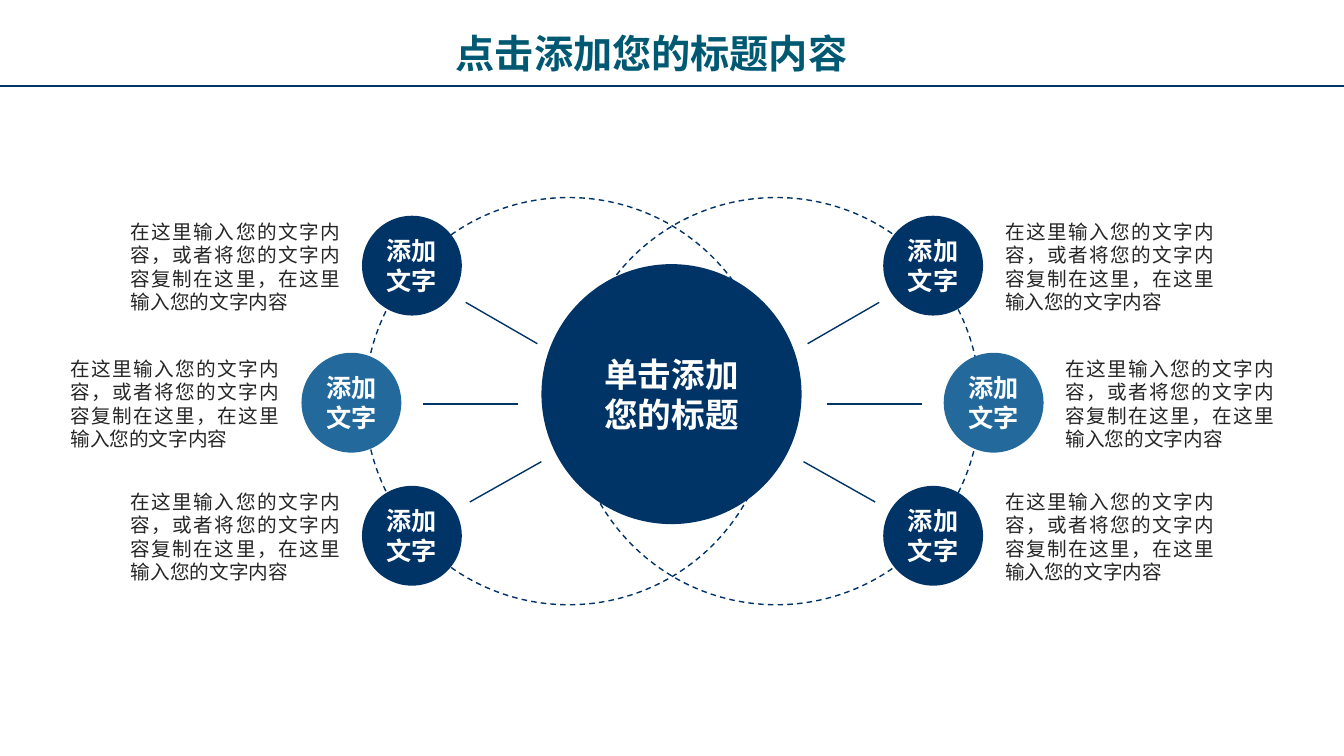
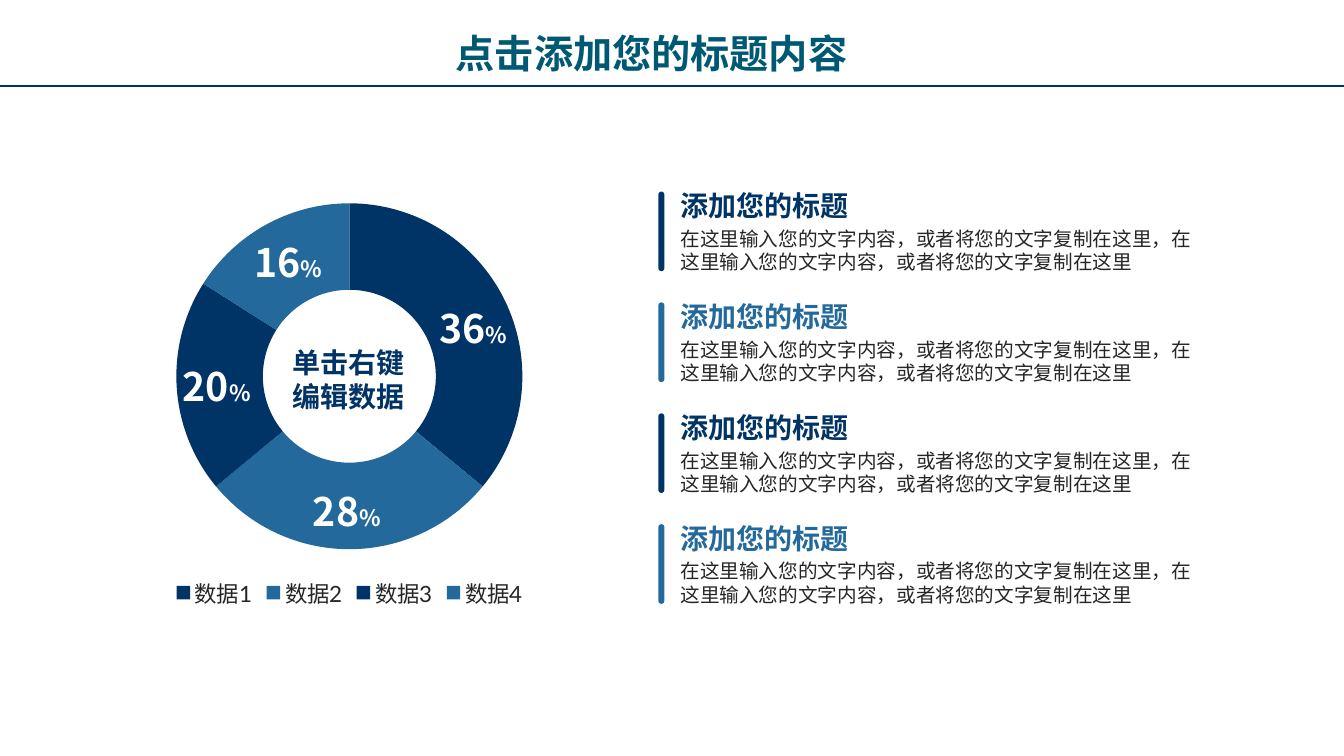
from lxml import etree
from pptx import Presentation
from pptx.chart.data import CategoryChartData
from pptx.dml.color import RGBColor
from pptx.enum.chart import XL_CHART_TYPE, XL_LEGEND_POSITION
from pptx.enum.dml import MSO_LINE
from pptx.enum.shapes import MSO_CONNECTOR, MSO_SHAPE
from pptx.enum.text import MSO_ANCHOR, MSO_AUTO_SIZE, PP_ALIGN
from pptx.oxml import parse_xml
from pptx.oxml.ns import nsdecls, qn
from pptx.util import Inches, Pt

OVAL, PILL = MSO_SHAPE.OVAL, MSO_SHAPE.ROUND_2_SAME_RECTANGLE
RING, BOTTOM = XL_CHART_TYPE.DOUGHNUT, XL_LEGEND_POSITION.BOTTOM
STRAIGHT, DASH = MSO_CONNECTOR.STRAIGHT, MSO_LINE.DASH
LEFT, MID, JUST = PP_ALIGN.LEFT, PP_ALIGN.CENTER, PP_ALIGN.JUSTIFY
TOP, MIDDLE = MSO_ANCHOR.TOP, MSO_ANCHOR.MIDDLE

NAVY, BLUE, TEAL, INK, WHITE = "003366", "24699C", "005973", "262626", "FFFFFF"
FACE = "Noto Sans CJK SC"
WIDE, HIGH = 13.33, 7.5
TITLE = "点击添加您的标题内容"
NOTE = "在这里输入您的文字内容，或者将您的文字内容复制在这里，在这里输入您的文字内容"
HEAD = "添加您的标题"
BODY = "在这里输入您的文字内容，或者将您的文字复制在这里，" * 2


def rgb(code):
    return RGBColor.from_string(code)


def put(item, values):
    for name, value in values.items():
        setattr(item, name, value)


def inch(*sizes):
    return [Inches(size) for size in sizes]


def write(frame, lines, size, color, bold=False, align=LEFT, anchor=TOP, pad=None):
    """Fill a text frame; each line is a list of (text, size) or plain text."""
    put(frame, {"word_wrap": True, "auto_size": MSO_AUTO_SIZE.NONE,
                "vertical_anchor": anchor})
    sides = {"margin_left": 0.1, "margin_right": 0.1,
             "margin_top": 0.05, "margin_bottom": 0.05}
    put(frame, {side: Inches(gap if pad is None else pad)
                for side, gap in sides.items()})
    for i, line in enumerate(lines):
        para = frame.add_paragraph() if i else frame.paragraphs[0]
        put(para, {"alignment": align, "line_spacing": Pt(size * 1.2),
                   "space_before": Pt(0)})
        for text, pts in [(line, size)] if isinstance(line, str) else line:
            run = para.add_run()
            run.text = text
            put(run.font, {"size": Pt(pts), "bold": bold, "name": FACE})
            run.font.color.rgb = rgb(color)
            east = etree.SubElement(run.font._element, qn("a:ea"))
            east.set("typeface", FACE)


def label(slide, box, lines, size, color, **style):
    write(slide.shapes.add_textbox(*inch(*box)).text_frame, lines, size, color, **style)


def shape(slide, kind, box, fill=None):
    item = slide.shapes.add_shape(kind, *inch(*box))
    item.shadow.inherit = False
    if fill:
        item.fill.solid()
        item.fill.fore_color.rgb = rgb(fill)
        item.line.fill.background()
    else:
        item.fill.background()
        put(item.line, {"width": Pt(1), "dash_style": DASH})
        item.line.color.rgb = rgb(NAVY)
    return item


def rule(slide, ends, width):
    line = slide.shapes.add_connector(STRAIGHT, *inch(*ends))
    line.line.color.rgb = rgb(NAVY)
    line.line.width = Pt(width)
    etree.SubElement(line._element.spPr, qn("a:effectLst"))


def page(deck):
    """Shared look: title and full-width rule."""
    slide = deck.slides.add_slide(deck.slide_layouts[5])
    rule(slide, (0, 0.85, WIDE, 0.85), 1.5)
    title = slide.shapes.title
    put(title, dict(zip(("left", "top", "width", "height"),
                        inch(4.42, 0.24, 4.5, 0.57))))
    write(title.text_frame, [TITLE], 28, TEAL, bold=True)
    return slide


def web(slide, left, top, width):
    """Hub with three balls and notes on each side, mirrored on the middle."""
    axis = left + width / 2

    def pair(x, wide):
        return axis + x, axis - x - wide

    # Dashed rings
    for x in pair(-3.05, 4.04):
        shape(slide, OVAL, (x, top, 4.04, 4.04))

    # Spokes: offsets from the axis and the top
    for x1, y1, x2, y2 in ((-2.05, 1.04, -1.34, 1.45),
                           (-2.47, 2.05, -1.53, 2.05),
                           (-2.01, 3.02, -1.3, 2.62)):
        for side in (1, -1):
            rule(slide, (axis + side * x1, top + y1, axis + side * x2, top + y2), 1)

    # Balls and notes
    for x, y, fill in ((-3.08, 0.18, NAVY), (-3.68, 1.54, BLUE), (-3.08, 2.86, NAVY)):
        for spot in pair(x, 0.99):
            ball = shape(slide, OVAL, (spot, top + y, 0.99, 0.99), fill)
            write(ball.text_frame, ["添加文字"], 18, WHITE, bold=True,
                  align=MID, anchor=MIDDLE, pad=0)
        for spot in pair(x - 2.39, 2.27):
            label(slide, (spot, top + y - 0.01, 2.27, 1.04), [NOTE], 14, INK, align=JUST)

    # Hub
    for size in (2.58, 1.93):
        hub = shape(slide, OVAL, (axis - size / 2 - 0.01, top + 1.95 - size / 2,
                                  size, size), NAVY)
    write(hub.text_frame, ["单击添加您的标题"], 24, WHITE, bold=True,
          align=MID, anchor=MIDDLE, pad=0)


def ring(slide, left, top, width, height):
    """Doughnut chart with its centre text and percent labels."""
    data = CategoryChartData()
    data.categories = [f"数据{i}" for i in range(1, 5)]
    shares = (36, 28, 20, 16)
    data.add_series("Series 1", shares)
    chart = slide.shapes.add_chart(RING, *inch(left, top, width, height), data).chart
    put(chart, {"has_title": False, "has_legend": True})
    put(chart.font, {"size": Pt(18), "name": "Calibri"})
    chart.font.color.rgb = rgb(INK)
    put(chart.legend, {"position": BOTTOM, "include_in_layout": False})
    put(chart.legend.font, {"size": Pt(16), "name": "Lato"})
    chart.legend.font.color.rgb = rgb(INK)

    # Slices
    plot = chart.plots[0]
    plot.vary_by_categories = True
    for i in range(len(shares)):
        part = plot.series[0].points[i].format
        part.fill.solid()
        part.fill.fore_color.rgb = rgb((NAVY, BLUE)[i % 2])
        part.line.fill.background()

    # Hole size and plot place
    plot._element.find(qn("c:holeSize")).set("val", "56")
    area = chart._chartSpace.chart.plotArea
    for old in area.findall(qn("c:layout")):
        area.remove(old)
    spots = "".join(f'<c:{tag} val="{val}"/>' for tag, val in (
        ("layoutTarget", "inner"), ("xMode", "edge"), ("yMode", "edge"),
        ("x", 0.1), ("y", 0.03), ("w", 0.8), ("h", 0.82)))
    area.insert(0, parse_xml(f'<c:layout {nsdecls("c")}><c:manualLayout>{spots}'
                             '</c:manualLayout></c:layout>'))

    # Texts over the ring
    label(slide, (left + 1.38, top + 1.49, 1.52, 0.77), ["单击右键", "编辑数据"],
          20, NAVY, bold=True, align=MID)
    places = ((2.83, 1.08), (1.58, 2.9), (0.29, 1.66), (1, 0.43))
    for share, (x, y) in zip(shares, places):
        label(slide, (left + x, top + y, 1.08, 0.57), [[(str(share), 28), ("%", 16)]],
              28, WHITE, bold=True, align=MID)


def points(slide, left, top, width):
    """Four headed texts, each with a bar at its left."""
    for i in range(4):
        y, color = top + i * 1.1, (NAVY, BLUE)[i % 2]
        bar = shape(slide, PILL, (left, y, 0.06, 0.79), color)
        bar.adjustments[0] = bar.adjustments[1] = 0.5
        label(slide, (left + 0.12, y - 0.08, 2.17, 0.44), [HEAD], 20, color, bold=True)
        label(slide, (left + 0.12, y + 0.3, width - 0.12, 0.57),
              [BODY.rstrip("，")], 14, INK)


def main():
    deck = Presentation()
    deck.slide_width, deck.slide_height = inch(WIDE, HIGH)
    web(page(deck), 0.57, 1.96, 12.2)
    chart = page(deck)
    ring(chart, 1.32, 1.89, 4.29, 4.19)
    points(chart, 6.53, 1.9, 5.52)
    deck.save("out.pptx")


if __name__ == "__main__":
    main()
